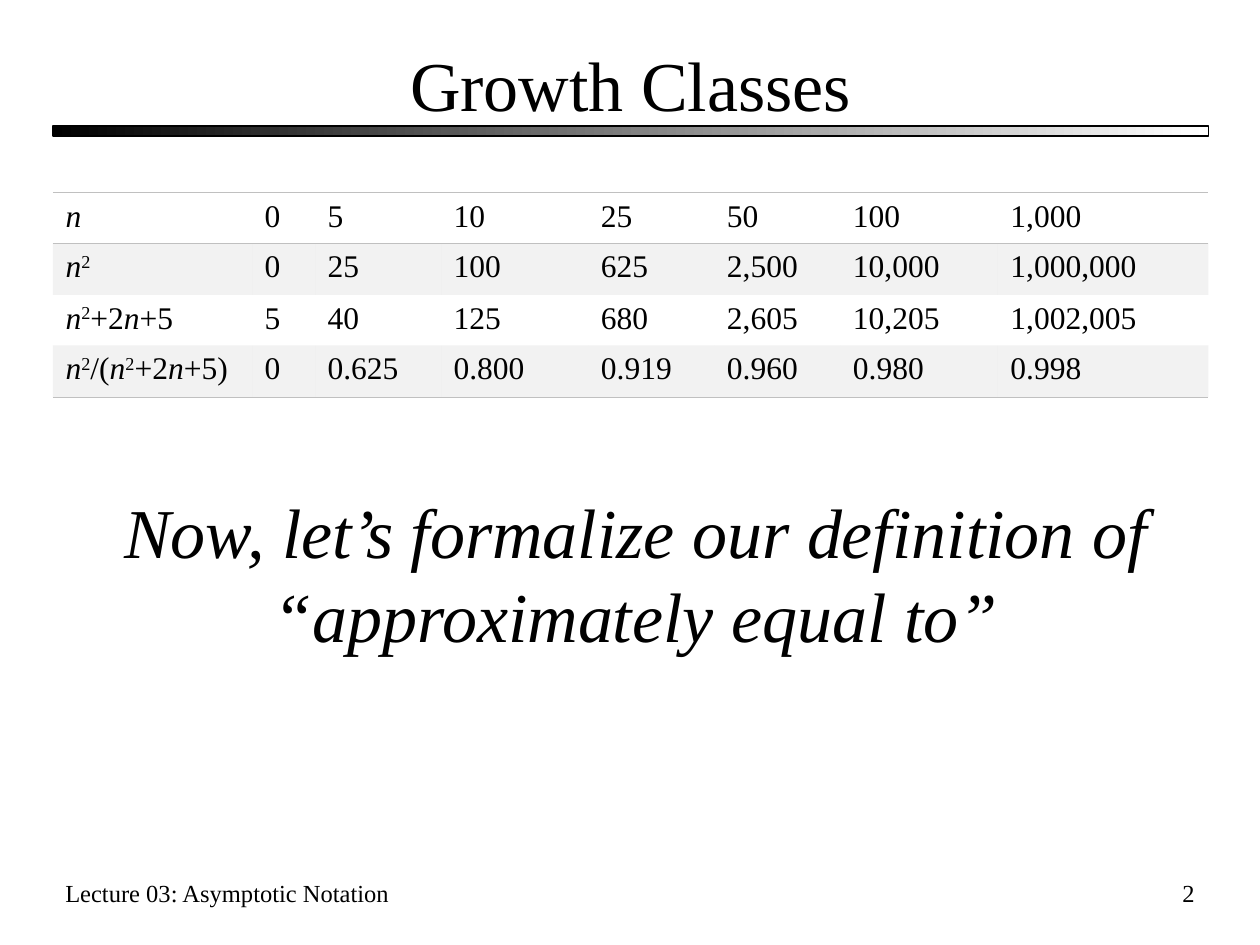
from dataclasses import dataclass
from itertools import groupby

from lxml.etree import SubElement
from pptx import Presentation
from pptx.dml.color import RGBColor
from pptx.enum.shapes import MSO_SHAPE
from pptx.enum.text import MSO_ANCHOR, MSO_AUTO_SIZE, PP_ALIGN
from pptx.oxml.ns import qn
from pptx.util import Inches, Pt

FONT = "Times New Roman"
BLACK, WHITE, SILVER = "000000", "FFFFFF", "C0C0C0"
LEFT, WIDTH = 0.42, 9.17
COLUMN_WIDTHS = [1.58, 0.5, 1, 1.17, 1, 1, 1.25, 1.67]
ROW_HEIGHTS = [0.4, 0.41, 0.4, 0.41]
GROWTH_ROWS = [
    ["n", "0", "5", "10", "25", "50", "100", "1,000"],
    ["n²", "0", "25", "100", "625", "2,500", "10,000", "1,000,000"],
    ["n²+2n+5", "5", "40", "125", "680", "2,605", "10,205", "1,002,005"],
    ["n²/(n²+2n+5)", "0", "0.625", "0.800", "0.919", "0.960", "0.980", "0.998"],
]


@dataclass
class Label:
    text: str
    left: float
    top: float
    width: float
    height: float
    size: float
    align: PP_ALIGN = PP_ALIGN.LEFT
    anchor: MSO_ANCHOR = MSO_ANCHOR.TOP
    italic: bool = False
    grow: bool = False


LABELS = [
    Label("Growth Classes", LEFT, 0.33, WIDTH, 0.67, 40, PP_ALIGN.CENTER, MSO_ANCHOR.MIDDLE),
    Label("Lecture 03: Asymptotic Notation", LEFT, 6.92, 3.5, 0.5, 14),
    Label("2", 7.5, 6.92, 2.08, 0.5, 14, PP_ALIGN.RIGHT),
    Label("Now, let’s formalize our definition of “approximately equal to”",
          LEFT, 3.83, 9.25, 1.44, 40, PP_ALIGN.CENTER, italic=True, grow=True),
]


def color(value: str) -> RGBColor:
    return RGBColor.from_string(value)


def style_font(font, size: float) -> None:
    font.name, font.size = FONT, Pt(size)
    font.color.rgb = color(BLACK)


def add_label(slide, label: Label) -> None:
    box = slide.shapes.add_textbox(Inches(label.left), Inches(label.top),
                                   Inches(label.width), Inches(label.height))
    tf = box.text_frame
    tf.word_wrap = True
    tf.vertical_anchor = label.anchor
    tf.auto_size = MSO_AUTO_SIZE.SHAPE_TO_FIT_TEXT if label.grow else MSO_AUTO_SIZE.NONE
    p = tf.paragraphs[0]
    p.text, p.alignment = label.text, label.align
    style_font(p.font, label.size)
    p.font.italic = label.italic


def add_title_bar(slide) -> None:
    sp = slide.shapes.add_shape(MSO_SHAPE.RECTANGLE, Inches(LEFT), Inches(1),
                                Inches(WIDTH), Inches(0.08))
    sp.shadow.inherit = False
    sp.fill.gradient()
    sp.fill.gradient_angle = 0
    for stop, value in zip(sp.fill.gradient_stops, (BLACK, WHITE)):
        stop.color.rgb = color(value)
    sp.line.color.rgb = color(BLACK)
    sp.line.width = Pt(0.75)


def write_formula(p, formula: str) -> None:
    """Set n in italics and ² as a raised 2."""
    style_font(p.font, 18)
    for kind, chars in groupby(formula, lambda c: c if c in "n²" else ""):
        r = p.add_run()
        r.text = "".join(chars).replace("²", "2")
        style_font(r.font, 18)
        r.font.italic = kind == "n"
        if kind == "²":
            r.font._element.set("baseline", "30000")


def set_borders(cell, visible: set[str]) -> None:
    tc_pr = cell._tc.get_or_add_tcPr()
    for side in ("lnL", "lnR", "lnT", "lnB"):
        ln = SubElement(tc_pr, qn(f"a:{side}"), w=str(Pt(0.45)))
        if side in visible:
            fill = SubElement(ln, qn("a:solidFill"))
            SubElement(fill, qn("a:srgbClr"), val=SILVER)
        else:
            SubElement(ln, qn("a:noFill"))


def set_band(cell, shaded: bool) -> None:
    if not shaded:
        cell.fill.background()
        return
    cell.fill.solid()
    cell.fill.fore_color.rgb = color(SILVER)
    srgb = cell._tc.tcPr.find(f"{qn('a:solidFill')}/{qn('a:srgbClr')}")
    SubElement(srgb, qn("a:alpha"), val="20000")


def add_growth_table(slide) -> None:
    frame = slide.shapes.add_table(len(ROW_HEIGHTS), len(COLUMN_WIDTHS), Inches(LEFT),
                                   Inches(1.53), Inches(WIDTH), Inches(sum(ROW_HEIGHTS)))
    table = frame.table
    table.first_row = table.horz_banding = False
    for column, width in zip(table.columns, COLUMN_WIDTHS):
        column.width = Inches(width)
    # Rules above and below the header row, and under the last row
    rules = {0: {"lnT", "lnB"}, 1: {"lnT"}, len(GROWTH_ROWS) - 1: {"lnB"}}
    for i, (row, height) in enumerate(zip(GROWTH_ROWS, ROW_HEIGHTS)):
        table.rows[i].height = Inches(height)
        for j, value in enumerate(row):
            cell = table.cell(i, j)
            write_formula(cell.text_frame.paragraphs[0], value)
            set_borders(cell, rules.get(i, set()))
            set_band(cell, i % 2 == 1)


def main() -> None:
    prs = Presentation()
    prs.slide_width, prs.slide_height = Inches(10), Inches(7.5)
    slide = prs.slides.add_slide(prs.slide_layouts[6])

    # Title bar, title, footer and statement
    add_title_bar(slide)
    for label in LABELS:
        add_label(slide, label)

    # Growth of each function
    add_growth_table(slide)
    prs.save("out.pptx")


if __name__ == "__main__":
    main()
